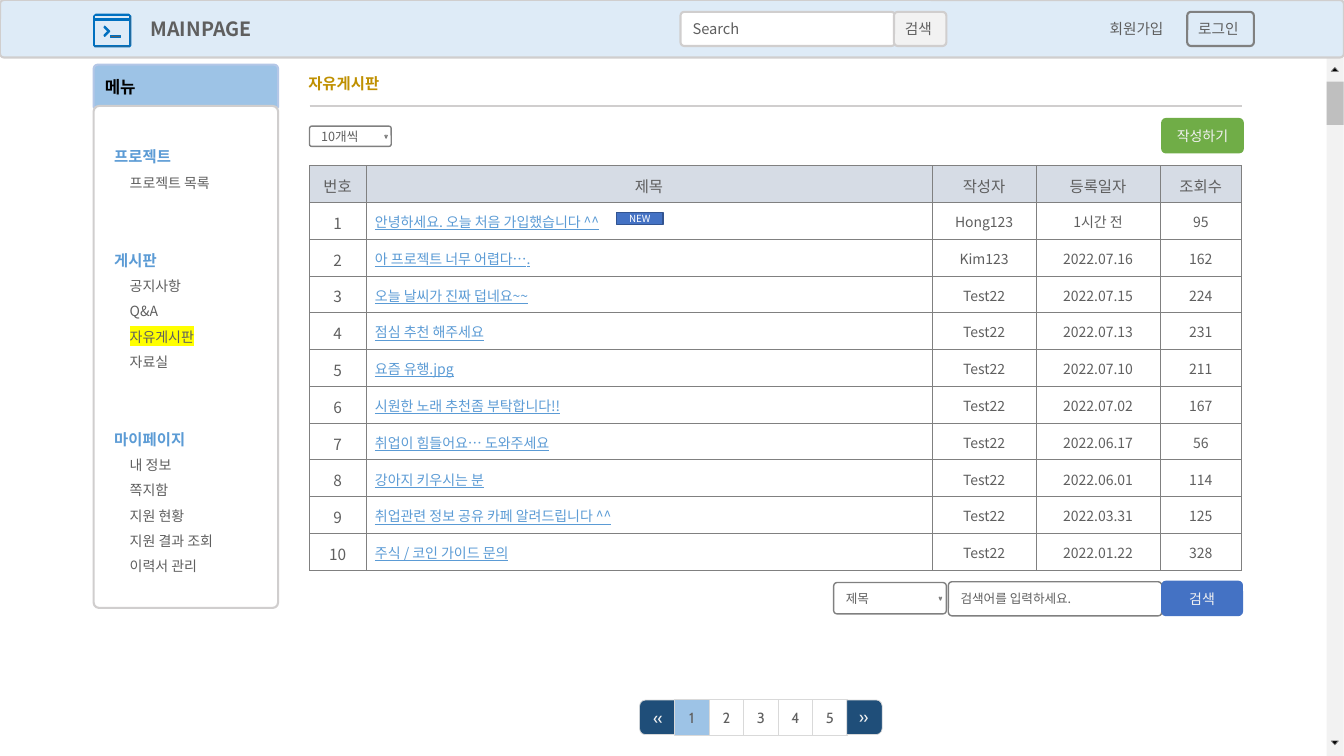
from dataclasses import dataclass

from lxml import etree
from pptx import Presentation
from pptx.dml import color
from pptx.enum import shapes, text
from pptx.oxml import ns
from pptx.util import Cm, Pt

KIND = shapes.MSO_SHAPE
ALIGN = text.PP_ALIGN
ANCHOR = text.MSO_ANCHOR


@dataclass(frozen=True)
class Theme:
    sans: str = "Noto Sans CJK KR"
    digits: str = "Cabin"
    ink: str = "5F5F5F"
    black: str = "000000"
    white: str = "FFFFFF"
    pale: str = "F2F2F2"
    edge: str = "D0CECE"
    gray: str = "808080"
    thumb: str = "BFBFBF"
    bar: str = "DEEBF7"
    sky: str = "9DC3E6"
    sky_edge: str = "B4C7E7"
    link: str = "5B9BD5"
    icon: str = "0070C0"
    navy: str = "1F4E79"
    pager_edge: str = "D9D9D9"
    table_head: str = "D6DCE5"
    blue: str = "4472C4"
    blue_edge: str = "325491"
    green: str = "70AD47"
    gold: str = "BF9000"
    marker: str = "FFFF00"
    brand: float = 14
    section: float = 12
    heading: float = 11
    control: float = 10.5
    body: float = 10
    small: float = 9
    badge: float = 7


T = Theme()


@dataclass(frozen=True)
class Style:
    size: float
    ink: str = T.ink
    bold: bool = False
    underline: bool = False
    font: str = T.sans
    marker: str = ""


@dataclass(frozen=True)
class Box:
    """A shape measured in centimetres, with one optional line of text."""
    place: tuple[float, float, float, float]
    fill: str
    line: str = ""
    weight: float = 1.5
    kind: KIND = KIND.ROUNDED_RECTANGLE
    adjust: tuple[float, ...] = ()
    label: str = ""
    style: Style = Style(T.control)
    align: ALIGN = ALIGN.LEFT
    insets: tuple[float, float, float, float] = (0.25, 0.18, 0.25, 0.18)
    wrap: bool = True
    turn: int = 0
    direction: str = ""


def rgb(value: str) -> color.RGBColor:
    return color.RGBColor.from_string(value)


def format_para(para, style: Style, align: ALIGN = ALIGN.LEFT) -> None:
    para.alignment = align
    for span in para.runs:
        font = span.font
        font.size, font.bold, font.underline = Pt(style.size), style.bold, style.underline
        font.color.rgb = rgb(style.ink)
        font.name = style.font
        latin = font._element.find(ns.qn("a:latin"))
        latin.addnext(etree.Element(ns.qn("a:ea"), typeface=style.font))
        if style.marker:
            highlight = etree.Element(ns.qn("a:highlight"))
            etree.SubElement(highlight, ns.qn("a:srgbClr"), val=style.marker)
            latin.addprevious(highlight)


def set_insets(frame, insets: tuple[float, float, float, float]) -> None:
    frame.margin_left, frame.margin_top, frame.margin_right, frame.margin_bottom = map(Cm, insets)


def paint(shape, fill: str, line: str, weight: float) -> None:
    shape.shadow.inherit = False
    if fill:
        shape.fill.solid()
        shape.fill.fore_color.rgb = rgb(fill)
    else:
        shape.fill.background()
    if line:
        shape.line.color.rgb = rgb(line)
        shape.line.width = Pt(weight)
    else:
        shape.line.fill.background()


def draw_box(page, box: Box):
    shape = page.shapes.add_shape(box.kind, *map(Cm, box.place))
    paint(shape, box.fill, box.line, box.weight)
    for index, value in enumerate(box.adjust):
        shape.adjustments[index] = value
    shape.rotation = box.turn
    frame = shape.text_frame
    frame.word_wrap = box.wrap
    frame.vertical_anchor = ANCHOR.MIDDLE
    set_insets(frame, box.insets)
    if box.direction:
        frame._txBody.bodyPr.set("vert", box.direction)
    if box.label:
        frame.text = box.label
        format_para(frame.paragraphs[0], box.style, box.align)
    return shape


def draw_outline(page, contours, fill: str, line: str, weight: float, close: bool = True) -> None:
    first, *others = [[(Cm(x), Cm(y)) for x, y in contour] for contour in contours]
    builder = page.shapes.build_freeform(*first[0])
    builder.add_line_segments(first[1:], close=close)
    for contour in others:
        builder.move_to(*contour[0])
        builder.add_line_segments(contour[1:], close=close)
    paint(builder.convert_to_shape(), fill, line, weight)


def frame_points(left: float, top: float, right: float, bottom: float):
    return [(left, top), (right, top), (right, bottom), (left, bottom)]


MENU = {
    "프로젝트": ["프로젝트 목록"],
    "게시판": ["공지사항", "Q&A", "자유게시판", "자료실"],
    "마이페이지": ["내 정보", "쪽지함", "지원 현황", "지원 결과 조회", "이력서 관리"],
}
CURRENT = "자유게시판"
HEADINGS = ("번호", "제목", "작성자", "등록일자", "조회수")
COLUMNS = (1.42, 14.27, 2.62, 3.12, 2.06)
POSTS = [
    ("안녕하세요. 오늘 처음 가입했습니다 ^^", "Hong123", "1시간 전", "95"),
    ("아 프로젝트 너무 어렵다….", "Kim123", "2022.07.16", "162"),
    ("오늘 날씨가 진짜 덥네요~~", "Test22", "2022.07.15", "224"),
    ("점심 추천 해주세요", "Test22", "2022.07.13", "231"),
    ("요즘 유행.jpg", "Test22", "2022.07.10", "211"),
    ("시원한 노래 추천좀 부탁합니다!!", "Test22", "2022.07.02", "167"),
    ("취업이 힘들어요… 도와주세요", "Test22", "2022.06.17", "56"),
    ("강아지 키우시는 분", "Test22", "2022.06.01", "114"),
    ("취업관련 정보 공유 카페 알려드립니다 ^^", "Test22", "2022.03.31", "125"),
    ("주식 / 코인 가이드 문의", "Test22", "2022.01.22", "328"),
]


def draw_scrollbar(page) -> None:
    for top, height, fill in ((1.45, 17.6, T.pale), (2.06, 1.09, T.thumb)):
        draw_box(page, Box((33.43, top, 0.43, height), fill, kind=KIND.RECTANGLE))
    for base, tip in ((1.8, 1.7), (18.67, 18.77)):
        draw_outline(page, [[(33.55, base), (33.64, tip), (33.73, base)]], T.black, T.gray, 0.5)


def draw_menu(page) -> None:
    draw_box(page, Box((2.36, 1.63, 4.65, 1.07), T.sky, T.sky_edge, kind=KIND.ROUND_2_SAME_RECTANGLE,
                       adjust=(0.1, 0), label="메뉴", style=Style(T.section, T.black, True)))
    panel = draw_box(page, Box((2.36, 2.67, 4.65, 12.65), T.white, T.edge, adjust=(0.03,),
                               insets=(0.48, 0.77, 0.48, 0.2)))
    frame = panel.text_frame
    frame.vertical_anchor = ANCHOR.TOP
    frame.text = "\n".join(line for group, items in MENU.items() for line in (group, *items))
    for index, para in enumerate(frame.paragraphs):
        para.line_spacing = 1.5
        if para.text in MENU:
            para.space_before = Pt(36 if index else 0)
            format_para(para, Style(T.heading, T.link, True))
        else:
            para._p.get_or_add_pPr().set("marL", str(Cm(0.39)))
            format_para(para, Style(T.body, marker=T.marker if para.text == CURRENT else ""))


def draw_top_bar(page) -> None:
    for box in (
        Box((0, 0, 33.87, 1.45), T.bar, T.edge, adjust=(0.07,), label="MAINPAGE",
            style=Style(T.brand, bold=True), insets=(3.77, 0.13, 0.36, 0.13)),
        Box((17.15, 0.3, 5.41, 0.86), T.white, T.edge, adjust=(0.11,), label="Search",
            insets=(0.28, 0.18, 0.28, 0.18)),
        Box((22.53, 0.3, 1.32, 0.86), T.pale, T.edge, adjust=(0.11,), label="검색", wrap=False),
        Box((29.92, 0.3, 1.68, 0.86), T.bar, T.gray, adjust=(0.11,), label="로그인", wrap=False),
        Box((27.69, 0.3, 1.98, 0.86), T.bar, adjust=(0.11,), label="회원가입", wrap=False),
    ):
        draw_box(page, box)
    window = [(2.41, 0.36), (3.25, 0.36), (3.3, 0.41), (3.3, 1.14),
              (3.27, 1.18), (2.39, 1.18), (2.36, 1.14), (2.36, 0.41)]
    prompt = [(2.64, 0.66), (2.62, 0.69), (2.72, 0.79), (2.62, 0.89), (2.64, 0.92), (2.77, 0.79)]
    panes = [frame_points(2.39, 0.39, 3.27, 0.48), frame_points(2.39, 0.51, 3.27, 1.14)]
    cursor = frame_points(2.78, 0.89, 3.04, 0.94)
    draw_outline(page, [window, *panes, prompt, cursor], T.ink, T.icon, 0.75)


def border_cell(cell) -> None:
    properties = cell._tc.get_or_add_tcPr()
    for side in ("lnL", "lnR", "lnT", "lnB"):
        line = etree.SubElement(properties, ns.qn(f"a:{side}"), w=str(Pt(0.5)))
        fill = etree.SubElement(line, ns.qn("a:solidFill"))
        etree.SubElement(fill, ns.qn("a:srgbClr"), val=T.gray)


def draw_posts(page) -> None:
    rows = [HEADINGS] + [(str(number), *post) for number, post in enumerate(POSTS, 1)]
    height = 0.92
    table = page.shapes.add_table(len(rows), len(COLUMNS), Cm(7.8), Cm(4.17),
                                  Cm(sum(COLUMNS)), Cm(height * len(rows))).table
    table.first_row = table.horz_banding = False
    for column, width in zip(table.columns, COLUMNS):
        column.width = Cm(width)
    for r, values in enumerate(rows):
        table.rows[r].height = Cm(height)
        for c, value in enumerate(values):
            cell = table.cell(r, c)
            border_cell(cell)
            set_insets(cell, (0.23,) * 4)
            cell.vertical_anchor = ANCHOR.MIDDLE
            cell.text = value
            is_link = r > 0 and c == 1
            style = Style(T.heading if r == 0 or c == 0 else T.body,
                          T.link if is_link else T.ink, underline=is_link)
            format_para(cell.text_frame.paragraphs[0], style, ALIGN.LEFT if is_link else ALIGN.CENTER)
            if r:
                cell.fill.background()
            else:
                cell.fill.solid()
                cell.fill.fore_color.rgb = rgb(T.table_head)


def draw_pager(page) -> None:
    ends = {"«": (270, "vert"), "»": (90, "vert270")}
    for index, label in enumerate("«12345»"):
        turn, direction = ends.get(label, (0, ""))
        is_end = label in ends
        fill = T.navy if is_end else T.sky if label == "1" else T.white
        style = Style(T.section, T.pale, font=T.digits) if is_end else Style(T.control, font=T.digits)
        draw_box(page, Box((16.13 + 0.87 * index, 17.63, 0.87, 0.89), fill, T.pager_edge, 0.5,
                           KIND.ROUND_2_SAME_RECTANGLE if is_end else KIND.RECTANGLE, label=label,
                           style=style, align=ALIGN.CENTER, insets=(0.1, 0.1, 0.1, 0.1),
                           turn=turn, direction=direction))


def draw_board(page) -> None:
    title = page.shapes.add_textbox(*map(Cm, (7.52, 1.75, 4.39, 0.74))).text_frame
    title.word_wrap = True
    title.text = CURRENT
    format_para(title.paragraphs[0], Style(T.heading, T.gold, True))
    rule = page.shapes.add_connector(shapes.MSO_CONNECTOR.STRAIGHT, Cm(7.8), Cm(2.67), Cm(31.29), Cm(2.67))
    rule.line.color.rgb = rgb(T.edge)
    rule.line.width = Pt(1.5)
    etree.SubElement(rule._element.spPr, ns.qn("a:effectLst"))
    draw_posts(page)
    small, button = Style(T.small), Style(T.body, T.pale)
    select_insets = (0.28, 0.18, 0.76, 0.18)
    for box in (
        Box((7.8, 3.18, 2.06, 0.51), T.white, T.gray, 1, adjust=(0.11,), label="10개씩",
            style=small, insets=select_insets),
        Box((21.01, 14.68, 2.84, 0.79), T.white, T.gray, 1, adjust=(0.11,), label="제목",
            style=small, insets=select_insets),
        Box((23.9, 14.66, 5.38, 0.86), T.white, T.gray, 1, adjust=(0.11,),
            label="검색어를 입력하세요.", style=small, insets=(0.28, 0.18, 0.28, 0.18)),
        Box((29.29, 14.66, 2.01, 0.84), T.blue, T.blue, adjust=(0.11,), label="검색",
            style=button, align=ALIGN.CENTER),
        Box((29.29, 3, 2.03, 0.84), T.green, T.green, adjust=(0.11,), label="작성하기",
            style=button, align=ALIGN.CENTER),
        Box((15.54, 5.36, 1.17, 0.3), T.blue, T.blue_edge, 1, KIND.RECTANGLE, label="NEW",
            style=Style(T.badge, T.white), align=ALIGN.CENTER, insets=(0.1, 0.1, 0.1, 0.1)),
    ):
        draw_box(page, box)
    for x, y in ((9.73, 3.4), (23.7, 15.04)):
        draw_outline(page, [[(x + 0.03, y), (x, y + 0.08), (x - 0.03, y)]], "", T.gray, 1, close=False)


def main() -> None:
    deck = Presentation()
    deck.slide_width, deck.slide_height = Cm(33.87), Cm(19.05)
    page = deck.slides.add_slide(deck.slide_layouts[6])
    for draw in (draw_scrollbar, draw_menu, draw_top_bar, draw_board, draw_pager):
        draw(page)
    deck.save("out.pptx")


if __name__ == "__main__":
    main()
